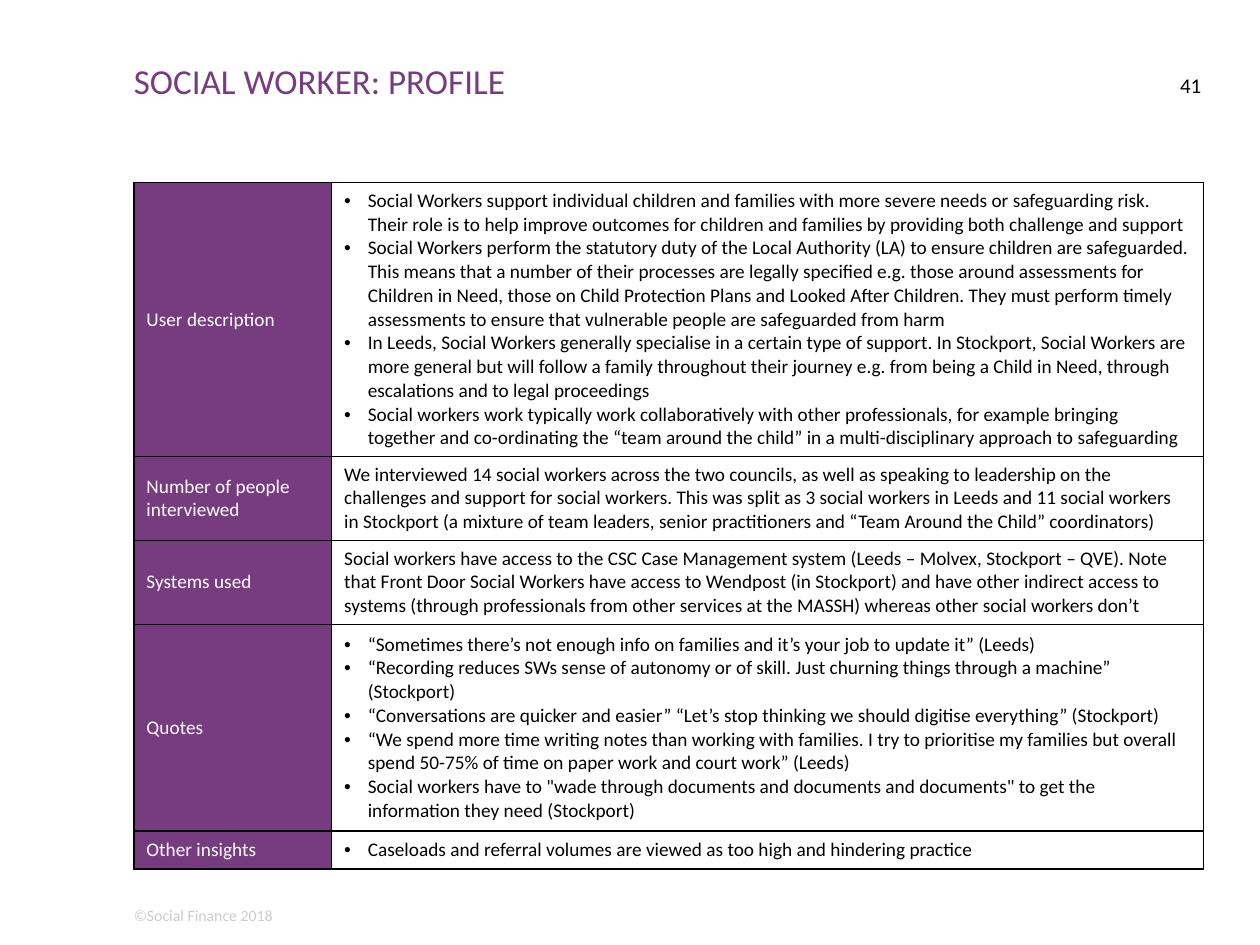
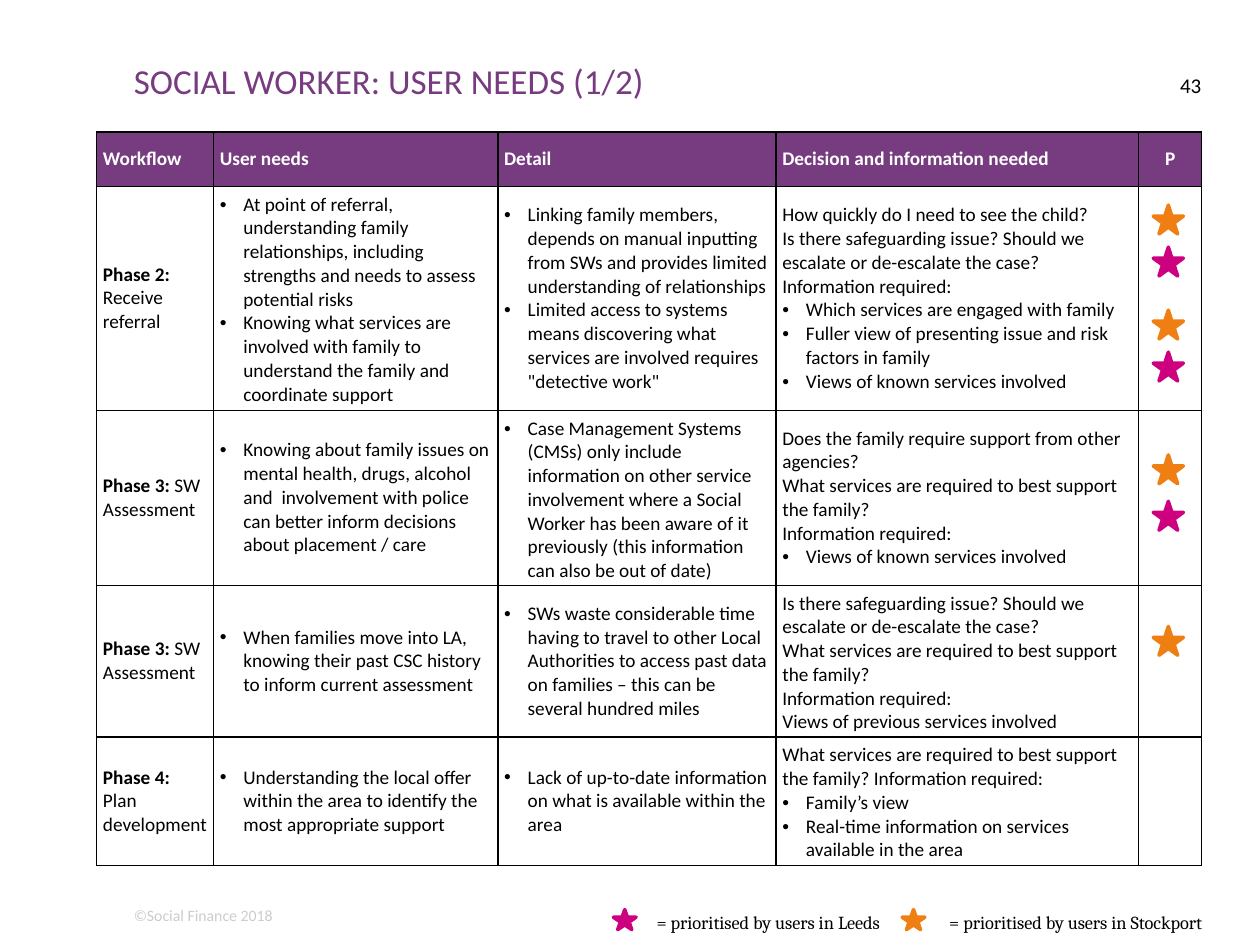
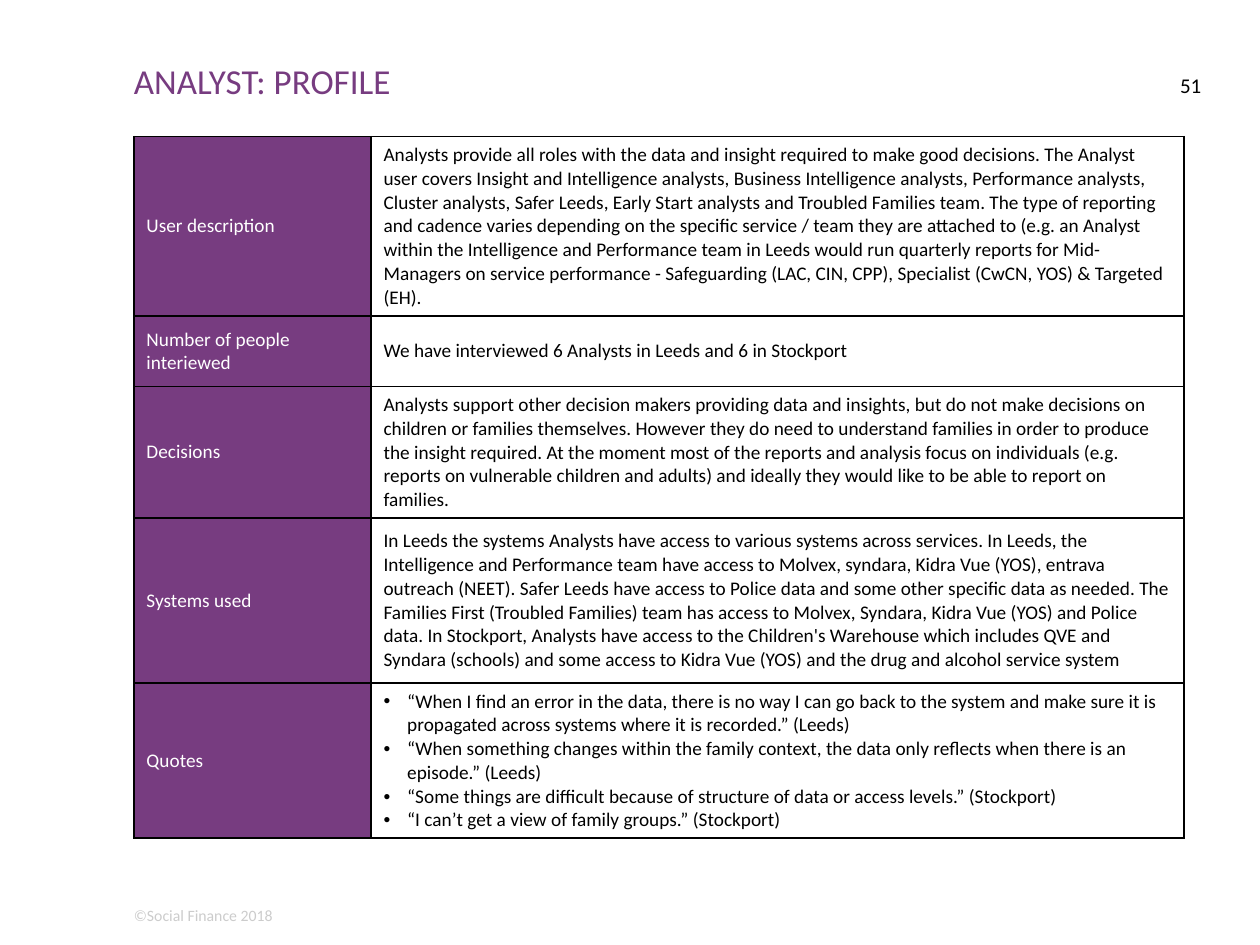
from dataclasses import dataclass

from lxml import etree
from pptx import Presentation
from pptx.dml.color import RGBColor
from pptx.enum.shapes import MSO_SHAPE
from pptx.enum.text import MSO_ANCHOR, PP_ALIGN
from pptx.oxml.ns import qn
from pptx.util import Pt

STAR = MSO_SHAPE.STAR_5_POINT
TOP, MIDDLE = MSO_ANCHOR.TOP, MSO_ANCHOR.MIDDLE
LEFT, CENTER, RIGHT = PP_ALIGN.LEFT, PP_ALIGN.CENTER, PP_ALIGN.RIGHT
TITLE_ONLY = 5
BULLET = "• "


@dataclass(frozen=True)
class Theme:
    purple: str = "773C80"
    pink: str = "CD007F"
    orange: str = "F07F13"
    black: str = "000000"
    white: str = "FFFFFF"
    grey: str = "CCCCCC"
    font: str = "Calibri"
    legend_font: str = "Cambria"
    title: float = 20
    page: float = 12
    body: float = 11
    legend: float = 10.5
    footer: float = 9
    border: float = 1
    indent: float = 13.5


T = Theme()


def put(p, text, size=T.body, color=T.black, bold=False, font=T.font, align=LEFT):
    """Add one formatted run to a paragraph."""
    p.alignment = align
    r = p.add_run()
    r.text = text
    r.font.size, r.font.bold, r.font.name = Pt(size), bold, font
    r.font.color.rgb = RGBColor.from_string(color)


def add_bullet(p):
    pPr = p._p.get_or_add_pPr()
    pPr.set("marL", str(Pt(T.indent)))
    pPr.set("indent", str(-Pt(T.indent)))
    etree.SubElement(pPr, qn("a:buFont")).set("typeface", "Arial")
    etree.SubElement(pPr, qn("a:buChar")).set("char", BULLET.strip())


def add_borders(cell):
    tcPr = cell._tc.get_or_add_tcPr()
    for side in ("a:lnL", "a:lnR", "a:lnT", "a:lnB"):
        ln = etree.SubElement(tcPr, qn(side), w=str(Pt(T.border)))
        fill = etree.SubElement(ln, qn("a:solidFill"))
        etree.SubElement(fill, qn("a:srgbClr")).set("val", T.black)


class Deck:
    def __init__(self):
        self.prs = Presentation()
        self.prs.slide_width, self.prs.slide_height = Pt(720), Pt(540)
        self.s = None

    def slide(self, title, page):
        """Start a slide with its title, page number and footer."""
        self.s = self.prs.slides.add_slide(self.prs.slide_layouts[TITLE_ONLY])
        sp = self.s.shapes.title
        sp.left, sp.top, sp.width, sp.height = Pt(76.5), Pt(34), Pt(574.5), Pt(53)
        self.fill_frame(sp.text_frame, title, size=T.title, color=T.purple)
        self.text(640, 41.5, 46.5, 29, page, size=T.page, align=RIGHT)
        self.text(76.5, 517.5, 608, 11, "©Social Finance 2018", size=T.footer, color=T.grey)

    def fill_frame(self, tf, text, **fmt):
        tf.margin_left = tf.margin_right = tf.margin_top = tf.margin_bottom = 0
        tf.word_wrap, tf.vertical_anchor = True, TOP
        put(tf.paragraphs[0], text, **fmt)

    def text(self, x, y, w, h, text, **fmt):
        sp = self.s.shapes.add_textbox(Pt(x), Pt(y), Pt(w), Pt(h))
        self.fill_frame(sp.text_frame, text, **fmt)

    def star(self, x, y, color, w=17.25, h=16.5):
        sp = self.s.shapes.add_shape(STAR, Pt(x), Pt(y), Pt(w), Pt(h))
        sp.shadow.inherit = False
        sp.fill.solid()
        sp.fill.fore_color.rgb = sp.line.color.rgb = RGBColor.from_string(color)
        sp.line.width = Pt(2)

    def cell(self, cell, content, fill=None, pad=None, **fmt):
        """Content is a string, a (bold label, rest) pair or a list of lines."""
        add_borders(cell)
        if fill:
            cell.fill.solid()
            cell.fill.fore_color.rgb = RGBColor.from_string(fill)
        else:
            cell.fill.background()
        cell.vertical_anchor = MIDDLE
        if pad:
            cell.margin_left = cell.margin_right = Pt(pad)
            cell.margin_top = cell.margin_bottom = Pt(pad)
        tf = cell.text_frame
        for i, line in enumerate(content if isinstance(content, list) else [content]):
            p = tf.add_paragraph() if i else tf.paragraphs[0]
            if isinstance(line, tuple):
                label, rest = line
                put(p, label.rstrip("\n"), bold=True)
                if label.endswith("\n"):
                    p.add_line_break()
                put(p, rest)
            elif line:
                if line.startswith(BULLET):
                    add_bullet(p)
                put(p, line.removeprefix(BULLET), **fmt)

    def table(self, x, y, widths, heights):
        frame = self.s.shapes.add_table(len(heights), len(widths), Pt(x), Pt(y),
                                        Pt(sum(widths)), Pt(sum(heights)))
        tbl = frame.table
        tbl.first_row = tbl.horz_banding = False
        for col, w in zip(tbl.columns, widths):
            col.width = Pt(w)
        for row, h in zip(tbl.rows, heights):
            row.height = Pt(h)
        return tbl

    def profile(self, y, widths, heights, rows):
        """Two-column table with purple row labels."""
        tbl = self.table(76.5, y, widths, heights)
        for i, (label, content) in enumerate(rows):
            self.cell(tbl.cell(i, 0), label, fill=T.purple, color=T.white)
            self.cell(tbl.cell(i, 1), content)

    def needs(self, y, widths, heights, header, rows):
        """Table with a purple header row."""
        tbl = self.table(55.25, y, widths, heights)
        for j, name in enumerate(header):
            self.cell(tbl.cell(0, j), name, fill=T.purple, pad=3.6, color=T.white,
                      bold=True, align=CENTER if name == "P" else LEFT)
        for i, row in enumerate(rows, 1):
            for j, content in enumerate(row):
                self.cell(tbl.cell(i, j), content, pad=3.6)


# Slide content
WORKER_PROFILE = [
    ("User description", [
        "• Social Workers support individual children and families with more severe needs or safeguarding risk. Their role is to help improve outcomes for children and families by providing both challenge and support",
        "• Social Workers perform the statutory duty of the Local Authority (LA) to ensure children are safeguarded. This means that a number of their processes are legally specified e.g. those around assessments for Children in Need, those on Child Protection Plans and Looked After Children. They must perform timely assessments to ensure that vulnerable people are safeguarded from harm",
        "• In Leeds, Social Workers generally specialise in a certain type of support. In Stockport, Social Workers are more general but will follow a family throughout their journey e.g. from being a Child in Need, through escalations and to legal proceedings",
        "• Social workers work typically work collaboratively with other professionals, for example bringing together and co-ordinating the “team around the child” in a multi-disciplinary approach to safeguarding",
    ]),
    ("Number of people interviewed",
     "We interviewed 14 social workers across the two councils, as well as speaking to leadership on the challenges and support for social workers. This was split as 3 social workers in Leeds and 11 social workers in Stockport (a mixture of team leaders, senior practitioners and “Team Around the Child” coordinators)"),
    ("Systems used",
     "Social workers have access to the CSC Case Management system (Leeds – Molvex, Stockport – QVE). Note that Front Door Social Workers have access to Wendpost (in Stockport) and have other indirect access to systems (through professionals from other services at the MASSH) whereas other social workers don’t"),
    ("Quotes", [
        "• “Sometimes there’s not enough info on families and it’s your job to update it” (Leeds)",
        "• “Recording reduces SWs sense of autonomy or of skill. Just churning things through a machine” (Stockport)",
        "• “Conversations are quicker and easier” “Let’s stop thinking we should digitise everything” (Stockport)",
        "• “We spend more time writing notes than working with families. I try to prioritise my families but overall spend 50-75% of time on paper work and court work” (Leeds)",
        "• Social workers have to \"wade through documents and documents and documents\" to get the information they need (Stockport)",
    ]),
    ("Other insights", "• Caseloads and referral volumes are viewed as too high and hindering practice"),
]

NEEDS_HEADER = ["Workflow", "User needs", "Detail", "Decision and information needed", "P"]
SAFEGUARDING = "Is there safeguarding issue? Should we escalate or de-escalate the case?"
BEST_SUPPORT = "What services are required to best support the family?"
REQUIRED = "Information required:"
KNOWN_VIEWS = "• Views of known services involved"
WORKER_NEEDS = [
    [("Phase 2:", " Receive referral"),
     ["• At point of referral, understanding family relationships, including strengths and needs to assess potential risks",
      "• Knowing what services are involved with family to understand the family and coordinate support"],
     ["• Linking family members, depends on manual inputting from SWs and provides limited understanding of relationships",
      "• Limited access to systems means discovering what services are involved requires \"detective work\""],
     ["How quickly do I need to see the child?", SAFEGUARDING, REQUIRED,
      "• Which services are engaged with family",
      "• Fuller view of presenting issue and risk factors in family", KNOWN_VIEWS],
     ""],
    [("Phase 3:", " SW Assessment"),
     "• Knowing about family issues on mental health, drugs, alcohol and  involvement with police can better inform decisions about placement / care",
     "• Case Management Systems (CMSs) only include information on other service involvement where a Social Worker has been aware of it previously (this information can also be out of date)",
     ["Does the family require support from other agencies?", BEST_SUPPORT, REQUIRED, KNOWN_VIEWS],
     ""],
    [("Phase 3:", " SW Assessment"),
     "• When families move into LA, knowing their past CSC history to inform current assessment",
     "• SWs waste considerable time having to travel to other Local Authorities to access past data on families – this can be several hundred miles",
     [SAFEGUARDING, BEST_SUPPORT, REQUIRED, "Views of previous services involved"],
     ""],
    [("Phase 4:\n", "Plan development"),
     "• Understanding the local offer within the area to identify the most appropriate support",
     "• Lack of up-to-date information on what is available within the area",
     [f"{BEST_SUPPORT} {REQUIRED}", "• Family’s view",
      "• Real-time information on services available in the area"],
     ""],
]
PRIORITY_STARS = [(117.25, T.orange), (141.25, T.pink), (177.25, T.orange), (201.25, T.pink),
                  (260, T.orange), (286.5, T.pink), (358, T.orange)]
LEGEND = [(350.5, 503, "= prioritised by users in Leeds", T.pink),
          (515.5, 687, "= prioritised by users in Stockport", T.orange)]

ANALYST_PROFILE = [
    ("User description",
     "Analysts provide all roles with the data and insight required to make good decisions. The Analyst user covers Insight and Intelligence analysts, Business Intelligence analysts, Performance analysts, Cluster analysts, Safer Leeds, Early Start analysts and Troubled Families team. The type of reporting and cadence varies depending on the specific service / team they are attached to (e.g. an Analyst within the Intelligence and Performance team in Leeds would run quarterly reports for Mid-Managers on service performance - Safeguarding (LAC, CIN, CPP), Specialist (CwCN, YOS) & Targeted (EH)."),
    ("Number of people interiewed", "We have interviewed 6 Analysts in Leeds and 6 in Stockport"),
    ("Decisions",
     "Analysts support other decision makers providing data and insights, but do not make decisions on children or families themselves. However they do need to understand families in order to produce the insight required. At the moment most of the reports and analysis focus on individuals (e.g. reports on vulnerable children and adults) and ideally they would like to be able to report on families."),
    ("Systems used",
     "In Leeds the systems Analysts have access to various systems across services. In Leeds, the Intelligence and Performance team have access to Molvex, syndara, Kidra Vue (YOS), entrava outreach (NEET). Safer Leeds have access to Police data and some other specific data as needed. The Families First (Troubled Families) team has access to Molvex, Syndara, Kidra Vue (YOS) and Police data. In Stockport, Analysts have access to the Children's Warehouse which includes QVE and Syndara (schools) and some access to Kidra Vue (YOS) and the drug and alcohol service system"),
    ("Quotes", [
        "• “When I find an error in the data, there is no way I can go back to the system and make sure it is propagated across systems where it is recorded.” (Leeds)",
        "• “When something changes within the family context, the data only reflects when there is an episode.” (Leeds)",
        "• “Some things are difficult because of structure of data or access levels.” (Stockport)",
        "• “I can’t get a view of family groups.” (Stockport)",
    ]),
]


def main():
    deck = Deck()

    # Social worker profile
    deck.slide("SOCIAL WORKER: PROFILE", "41")
    deck.profile(104.25, [113, 498.25], [156.5, 48, 48, 118.25, 21.75], WORKER_PROFILE)

    # Social worker needs, with priority stars and their legend
    deck.slide("SOCIAL WORKER: USER NEEDS (1/2)", "43")
    deck.needs(75.5, [66.75, 162.5, 159, 207.25, 36], [31, 128, 100, 86.75, 72.75],
               NEEDS_HEADER, WORKER_NEEDS)
    for y, color in PRIORITY_STARS:
        deck.star(659, y, color)
    for x, right, label, color in LEGEND:
        deck.star(x, 519.75, color, w=13, h=11.5)
        deck.text(x + 20, 520.5, right - x - 20, 13, label, size=T.legend,
                  font=T.legend_font, align=RIGHT)

    # Analyst profile
    deck.slide("ANALYST: PROFILE", "51")
    deck.profile(78, [135.5, 464.5], [102.5, 40.5, 75, 94.5, 88.5], ANALYST_PROFILE)

    deck.prs.save("out.pptx")


if __name__ == "__main__":
    main()
